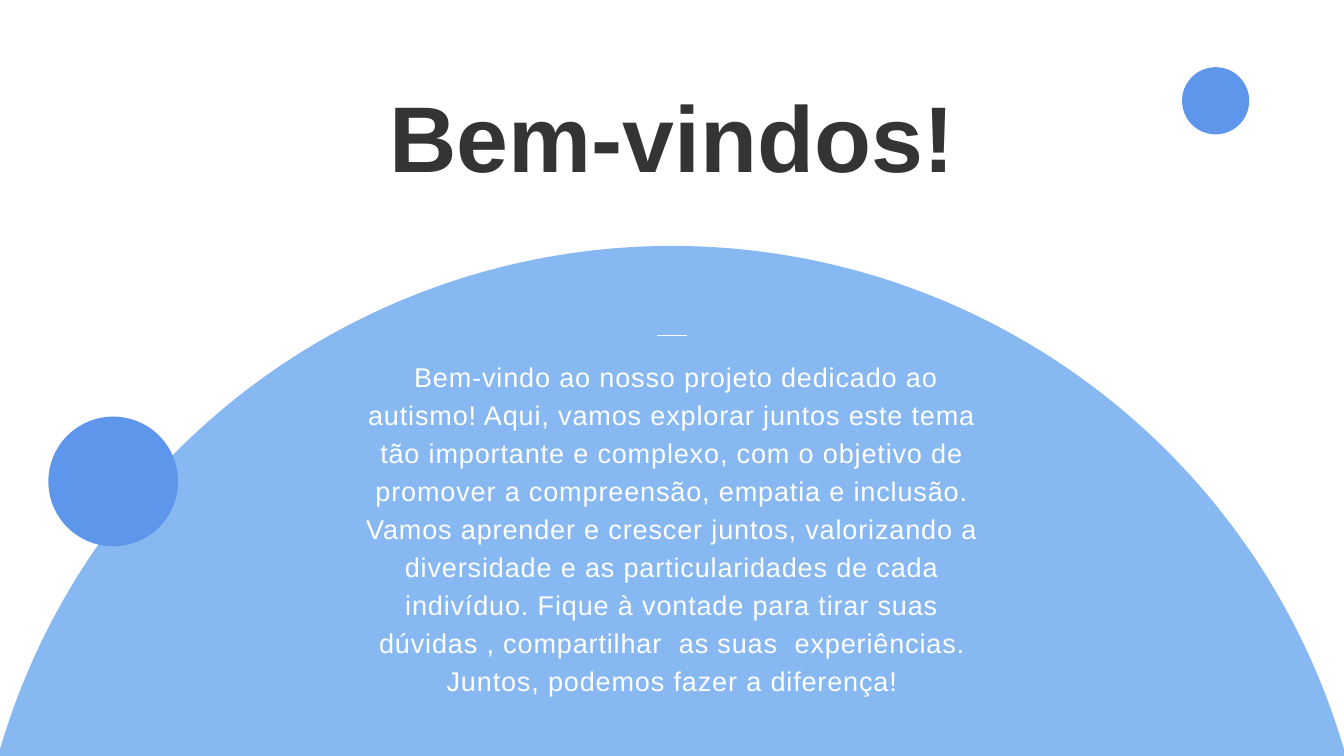
from pptx import Presentation
from pptx.dml.color import RGBColor
from pptx.enum.shapes import MSO_CONNECTOR, MSO_SHAPE
from pptx.enum.text import MSO_ANCHOR, MSO_AUTO_SIZE, PP_ALIGN
from pptx.oxml.ns import qn
from pptx.util import Pt
from lxml import etree

PX = 9144  # 100 px to the inch
OVAL = MSO_SHAPE.OVAL
STRAIGHT = MSO_CONNECTOR.STRAIGHT
TOP = MSO_ANCHOR.TOP
NO_FIT = MSO_AUTO_SIZE.NONE
CENTER = PP_ALIGN.CENTER

WHITE = RGBColor(0xFF, 0xFF, 0xFF)
CHARCOAL = RGBColor(0x34, 0x34, 0x34)
SKY = RGBColor(0x87, 0xB8, 0xF2)
BLUE = RGBColor(0x5D, 0x96, 0xEB)

TITLE = ["Bem-vindos!"]
WELCOME = [
    " Bem-vindo ao nosso projeto dedicado ao autismo! Aqui, vamos explorar "
    "juntos este tema tão importante e complexo, com o objetivo de promover a "
    "compreensão, empatia e inclusão. Vamos aprender e crescer juntos, "
    "valorizando a diversidade e as particularidades de cada indivíduo. Fique "
    "à vontade para tirar suas dúvidas , compartilhar  as suas  experiências.",
    " Juntos, podemos fazer a diferença! ",
]

deck = Presentation()
deck.slide_width, deck.slide_height = 2000 * PX, 1125 * PX
slide = deck.slides.add_slide(deck.slide_layouts[1])
slide.background.fill.solid()
slide.background.fill.fore_color.rgb = WHITE

# Circles: the large one goes behind the text
circles = [
    (-42, 366, 2084, SKY),
    (1759, 100, 100, BLUE),
    (72, 620, 193, BLUE),
]
for index, (left, top, size, color) in enumerate(circles):
    circle = slide.shapes.add_shape(OVAL, left * PX, top * PX, size * PX, size * PX)
    circle.shadow.inherit = False
    circle.fill.solid()
    circle.fill.fore_color.rgb = color
    circle.line.fill.background()
    if index == 0:
        slide.shapes.element.insert(2, circle.element)

# Title and welcome text
title, body = slide.placeholders
texts = [
    (title, TITLE, (183, 145, 1634, 145), 100, 0,
     {"size": Pt(100), "bold": True, "name": "Arial"}, CHARCOAL),
    (body, WELCOME, (538, 529, 925, 560), 40.6, 90,
     {"size": Pt(29), "bold": False, "name": "Arial"}, WHITE),
]
for box, lines, place, leading, tracking, font_format, color in texts:
    box.left, box.top, box.width, box.height = [length * PX for length in place]
    frame = box.text_frame
    frame_format = {"margin_left": 0, "margin_top": 0, "margin_right": 0,
                    "margin_bottom": 0, "word_wrap": True,
                    "vertical_anchor": TOP, "auto_size": NO_FIT}
    for name, value in frame_format.items():
        setattr(frame, name, value)
    frame.text = "\n".join(lines)
    for para in frame.paragraphs:
        para_format = {"alignment": CENTER, "line_spacing": Pt(leading),
                       "space_before": Pt(0), "space_after": Pt(0)}
        for name, value in para_format.items():
            setattr(para, name, value)
        properties = para._p.get_or_add_pPr()
        properties.set("marL", "0")
        properties.set("indent", "0")
        etree.SubElement(properties, qn("a:buNone"))
        for span in para.runs:
            for name, value in font_format.items():
                setattr(span.font, name, value)
            span.font.color.rgb = color
            span._r.get_or_add_rPr().set("spc", str(tracking))

# Short rule above the welcome text
rule = slide.shapes.add_connector(STRAIGHT, 978 * PX, 499 * PX, 1022 * PX, 499 * PX)
rule.line.color.rgb = WHITE
rule.line.width = Pt(0.75)
etree.SubElement(rule.element.spPr, qn("a:effectLst"))

deck.save("out.pptx")
